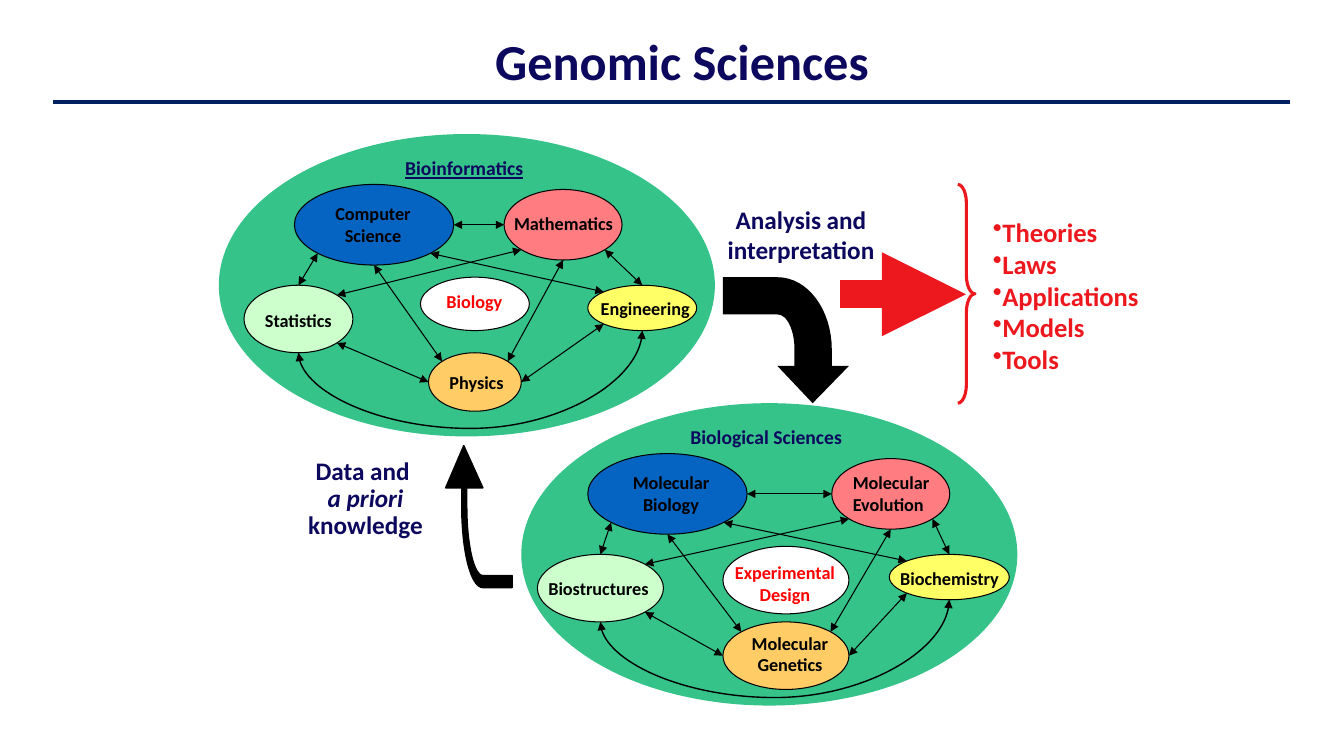
from lxml import etree
from pptx import Presentation, util as u
from pptx.dml import color
from pptx.enum import shapes, text
from pptx.oxml import ns

PX = 9144  # EMU in one px, 100 px to the inch
NAVY, RED, BLACK, WHITE = "0B085E", "ED181E", "000000", "FFFFFF"
CENTER, LEFT = text.PP_ALIGN.CENTER, text.PP_ALIGN.LEFT

ROLE_COLOURS = {"evolving": "FF7C80", "computing": "0563C1", "physical": "FFCC66",
                "counting": "CCFFCC", "applied": "FFFF66", "core": WHITE}
NEAR, FAR = 0.146, 0.854  # where an ellipse meets its diagonals
SITES = {"top": (0.5, 0), "bottom": (0.5, 1), "left": (0, 0.5), "right": (1, 0.5),
         "top left": (NEAR, NEAR), "top right": (FAR, NEAR),
         "bottom left": (NEAR, FAR), "bottom right": (FAR, FAR)}
LINKS = [
    ("counting", "top", "computing", "bottom left"),
    ("physical", "right", "applied", "bottom left"),
    ("computing", "right", "evolving", "left"),
    ("evolving", "bottom right", "applied", "top"),
    ("physical", "top right", "evolving", "bottom"),
    ("counting", "top right", "evolving", "bottom left"),
    ("physical", "top left", "computing", "bottom"),
    ("applied", "top left", "computing", "bottom right"),
    ("counting", "bottom right", "physical", "left"),
]

# role: (ellipse box, wording, label box, alignment), relative to the cluster
BIOINFORMATICS = {
    "evolving": ((283, 55, 117, 70), "Mathematics", (283, 73, 120, 32), LEFT),
    "computing": ((75, 50, 158, 80), "Computer\nScience", (105, 63, 96, 54), CENTER),
    "physical": ((208, 217, 92, 58), "Physics", (219, 230, 74, 32), LEFT),
    "counting": ((25, 150, 108, 67), "Statistics", (36, 169, 87, 32), LEFT),
    "applied": ((366, 150, 108, 45), "Engineering", (369, 157, 110, 32), LEFT),
    "core": ((200, 142, 108, 53), "Biology", (216, 150, 76, 32), LEFT),
}
BIOLOGICAL = {
    "evolving": ((308, 55, 117, 70), "Molecular\nEvolution", (319, 63, 97, 54), LEFT),
    "computing": ((66, 50, 158, 80), "Molecular\nBiology", (100, 63, 97, 54), CENTER),
    "physical": ((200, 217, 125, 67), "Molecular\nGenetics", (218, 222, 97, 54), CENTER),
    "counting": ((16, 150, 125, 67), "Biostructures", (17, 168, 121, 32), LEFT),
    "applied": ((365, 150, 119, 45), "Biochemistry", (366, 158, 119, 32), LEFT),
    "core": ((200, 142, 125, 67), "Experimental\nDesign", (201, 152, 121, 54), CENTER),
}


def rgb(hex_code):
    return color.RGBColor.from_string(hex_code)


def emu(*lengths):
    return [round(length * PX) for length in lengths]


def shift(box, x, y):
    left, top, width, height = box
    return left + x, top + y, width, height


def paint(shape, fill=None, line=None, weight=0.75):
    shape.shadow.inherit = False
    if fill:
        shape.fill.solid()
        shape.fill.fore_color.rgb = rgb(fill)
    else:
        shape.fill.background()
    if line:
        shape.line.color.rgb = rgb(line)
        shape.line.width = u.Pt(weight)
    else:
        shape.line.fill.background()


def add_ellipse(slide, box, fill, line=None):
    paint(slide.shapes.add_shape(shapes.MSO_SHAPE.OVAL, *emu(*box)), fill, line)


def add_label(slide, box, wording, size, hex_code, align=CENTER, wrap=False):
    """Add bold text, one paragraph a line, and return its paragraphs."""
    frame = slide.shapes.add_textbox(*emu(*box)).text_frame
    frame.word_wrap = wrap
    frame.auto_size = text.MSO_AUTO_SIZE.SHAPE_TO_FIT_TEXT
    frame.text = wording
    for paragraph in frame.paragraphs:
        paragraph.alignment = align
        font = paragraph.font
        font.name, font.size, font.bold = "Calibri", u.Pt(size), True
        font.color.rgb = rgb(hex_code)
    return frame.paragraphs


def add_line(slide, start, end, hex_code=BLACK, weight=0.75, heads=(),
             kind=shapes.MSO_CONNECTOR.STRAIGHT):
    line = slide.shapes.add_connector(kind, *emu(*start, *end))
    line.line.color.rgb = rgb(hex_code)
    line.line.width = u.Pt(weight)
    properties = line.element.spPr
    for head in heads:
        etree.SubElement(properties.find(ns.qn("a:ln")), ns.qn(head), type="triangle")
    etree.SubElement(properties, ns.qn("a:effectLst"))
    return line


def add_arc(slide, start, end):
    """Hang a two-headed curve below two points: a connector turned by 90 degrees."""
    middle_x, middle_y = (start[0] + end[0]) / 2, (start[1] + end[1]) / 2
    half_span, half_rise = (end[0] - start[0]) / 2, (start[1] - end[1]) / 2
    arc = add_line(slide, (middle_x + half_rise, middle_y + half_span),
                   (middle_x - half_rise, middle_y - half_span), weight=1,
                   heads=("a:headEnd", "a:tailEnd"), kind=shapes.MSO_CONNECTOR.CURVE)
    properties = arc.element.spPr
    properties.find(ns.qn("a:xfrm")).set("rot", "5400000")
    guides = properties.find(ns.qn("a:prstGeom")).find(ns.qn("a:avLst"))
    etree.SubElement(guides, ns.qn("a:gd"), name="adj1", fmla="val -341000")


def add_cluster(slide, x, y, heading, heading_box, members, underline=False):
    add_ellipse(slide, (x, y, 492, 300), "35C38A")

    def add_member(role):
        oval, wording, label_box, align = members[role]
        add_ellipse(slide, shift(oval, x, y), ROLE_COLOURS[role], BLACK)
        add_label(slide, shift(label_box, x, y), wording, 13,
                  "FF0000" if role == "core" else BLACK, align)

    def site(role, side):
        left, top, width, height = shift(members[role][0], x, y)
        across, down = SITES[side]
        return left + across * width, top + down * height

    for role in ROLE_COLOURS:
        if role != "core":
            add_member(role)
    for role, side, other_role, other_side in LINKS:
        add_line(slide, site(role, side), site(other_role, other_side),
                 heads=("a:headEnd", "a:tailEnd"))
    add_member("core")
    add_arc(slide, site("counting", "bottom"), site("applied", "bottom"))
    title = add_label(slide, shift(heading_box, x, y), heading, 14, NAVY)[0]
    if underline:
        title.font.underline = True


def add_bent_arrow(slide, x, y, outline, line=None):
    """Draw an outline of points (2 numbers) and Bezier curves (6 numbers)."""
    steps = 16
    points = []
    for part in outline:
        if len(part) == 2:
            points.append(part)
            continue
        curve = [points[-1], part[:2], part[2:4], part[4:]]
        for step in range(1, steps + 1):
            t = step / steps
            weights = ((1 - t) ** 3, 3 * t * (1 - t) ** 2, 3 * t * t * (1 - t), t ** 3)
            points.append(tuple(sum(w * p[axis] for w, p in zip(weights, curve))
                                for axis in (0, 1)))
    points = [emu(x + across, y + down) for across, down in points]
    builder = slide.shapes.build_freeform(*points[0])
    builder.add_line_segments(points[1:], close=True)
    paint(builder.convert_to_shape(), BLACK, line, 1)


def add_header(slide, x, y):
    add_label(slide, (x + 426, y, 395, 71), "Genomic Sciences", 36, NAVY)
    add_line(slide, (x, y + 76), (x + 1226, y + 76), "002060", 3)


def add_analysis(slide, x, y):
    add_label(slide, (x, y, 167, 101), "Analysis and\ninterpretation", 18, NAVY)
    add_bent_arrow(slide, x + 6, y + 77, [
        (89, 125), (125, 88), (108, 88), (108, 72), (108, 32, 84, 0, 54, 0), (0, 0),
        (0, 37), (54, 37), (64, 37, 71, 53, 71, 72), (71, 88), (54, 88)])


def add_prior_data(slide, x, y):
    lines = add_label(slide, (x, y, 135, 92), "Data and \na priori\nknowledge", 18, NAVY)
    for paragraph in lines:
        paragraph.line_spacing = 0.9
    lines[1].font.italic = True
    add_bent_arrow(slide, x + 147, y - 8, [
        (18, 0), (0, 42), (16, 42), (16, 60), (16, 105, 25, 141, 37, 141), (66, 141),
        (66, 129), (37, 129), (28, 129, 21, 98, 21, 60), (21, 42), (37, 42)], BLACK)


def add_results(slide, x, y):
    results = add_label(slide, (x + 142, y + 26, 208, 202),
                        "Theories\nLaws\nApplications\nModels\nTools", 19, RED, LEFT, True)
    for paragraph in results:
        properties = paragraph._p.get_or_add_pPr()
        properties.set("marL", "0")
        properties.set("indent", "0")
        bullet = etree.Element(ns.qn("a:buChar"), char="•")
        properties.insert(0, bullet)
    add_line(slide, (x, y + 109), (x + 125, y + 109), RED, 20, ("a:tailEnd",))
    brace = slide.shapes.add_shape(shapes.MSO_SHAPE.RIGHT_BRACE,
                                   *emu(x + 117, y, 17, 217))
    brace.adjustments[0], brace.adjustments[1] = 1.08, 0.5
    paint(brace, line=RED, weight=2.25)


def main():
    deck = Presentation()
    deck.slide_width, deck.slide_height = emu(1333, 750)
    slide = deck.slides.add_slide(deck.slide_layouts[6])
    add_cluster(slide, 217, 133, "Bioinformatics", (174, 17, 139, 34),
                BIOINFORMATICS, underline=True)
    add_cluster(slide, 517, 400, "Biological Sciences", (157, 17, 172, 34), BIOLOGICAL)
    add_analysis(slide, 711, 198)
    add_prior_data(slide, 295, 450)
    add_results(slide, 833, 183)
    add_header(slide, 53, 25)
    deck.save("out.pptx")


if __name__ == "__main__":
    main()
